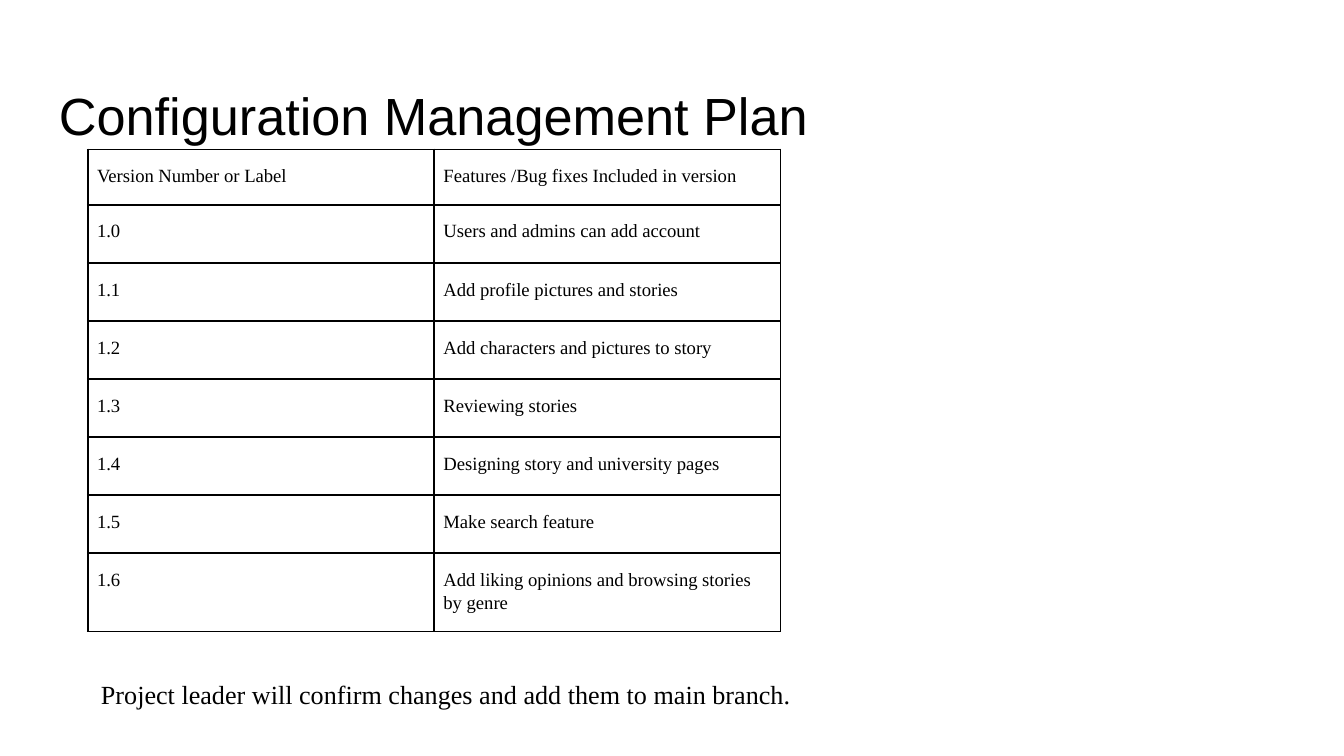
from dataclasses import dataclass

from lxml.etree import SubElement
from pptx import Presentation
from pptx.dml.color import RGBColor as Color
from pptx.enum.text import MSO_ANCHOR as Anchor
from pptx.oxml.ns import qn
from pptx.util import Pt


@dataclass(frozen=True)
class Theme:
    ink: str = "000000"
    paper: str = "FFFFFF"
    heading_font: str = "Arial"
    body_font: str = "Times New Roman"
    title_size: float = 28
    note_size: float = 14
    cell_size: float = 10
    border: float = 1


THEME = Theme()

VERSIONS = [
    ("Version Number or Label", "Features /Bug fixes Included in version"),
    ("1.0", "Users and admins can add account"),
    ("1.1", "Add profile pictures and stories"),
    ("1.2", "Add characters and pictures to story"),
    ("1.3", "Reviewing stories"),
    ("1.4", "Designing story and university pages"),
    ("1.5", "Make search feature"),
    ("1.6", "Add liking opinions and browsing stories by genre"),
]


def write_text(frame, text, *, size, font=THEME.body_font, line_spacing=None):
    paragraph = frame.paragraphs[0]
    if line_spacing:
        paragraph.line_spacing = line_spacing
    run = paragraph.add_run()
    run.text = text
    run.font.name = font
    run.font.size = Pt(size)
    run.font.color.rgb = Color.from_string(THEME.ink)


def add_text(slide, text, left, top, width, height, *, inset_top=7.2, **text_format):
    frame = slide.shapes.add_textbox(Pt(left), Pt(top), Pt(width), Pt(height)).text_frame
    frame.word_wrap = True
    frame.vertical_anchor = Anchor.TOP
    frame.margin_left = frame.margin_right = frame.margin_bottom = Pt(7.2)
    frame.margin_top = Pt(inset_top)
    write_text(frame, text, **text_format)


def set_borders(cell):
    properties = cell._tc.get_or_add_tcPr()
    # Border lines must come before the cell's fill
    for index, side in enumerate(("a:lnL", "a:lnR", "a:lnT", "a:lnB")):
        line = SubElement(properties, qn(side), w=str(Pt(THEME.border)))
        fill = SubElement(line, qn("a:solidFill"))
        SubElement(fill, qn("a:srgbClr"), val=THEME.ink)
        properties.insert(index, line)


def add_grid(slide, rows, left, top, column_widths, row_heights):
    table = slide.shapes.add_table(
        len(rows), len(column_widths), Pt(left), Pt(top),
        Pt(sum(column_widths)), Pt(sum(row_heights))).table
    table.first_row = table.horz_banding = False
    for column, width in zip(table.columns, column_widths):
        column.width = Pt(width)
    for row, height, texts in zip(table.rows, row_heights, rows):
        row.height = Pt(height)
        for cell, text in zip(row.cells, texts):
            cell.margin_left = cell.margin_right = Pt(5)
            cell.margin_top = cell.margin_bottom = Pt(7.2)
            cell.fill.solid()
            cell.fill.fore_color.rgb = Color.from_string(THEME.paper)
            set_borders(cell)
            write_text(cell.text_frame, text, size=THEME.cell_size, line_spacing=1.15)


def main():
    presentation = Presentation()
    presentation.slide_width, presentation.slide_height = Pt(720), Pt(405)
    slide = presentation.slides.add_slide(presentation.slide_layouts[6])

    # Title
    add_text(slide, "Configuration Management Plan", 24.5, 35, 671, 45.1,
             inset_top=9.5, size=THEME.title_size, font=THEME.heading_font)

    # Version table
    row_heights = [29.8] + [31.1] * (len(VERSIONS) - 2) + [40.8]
    add_grid(slide, VERSIONS, 47, 80, [185.6] * 2, row_heights)

    # Note below the table
    add_text(slide, "Project leader will confirm changes and add them to main branch.",
             47, 356.5, 431, 24.5, size=THEME.note_size)

    presentation.save("out.pptx")


if __name__ == "__main__":
    main()
